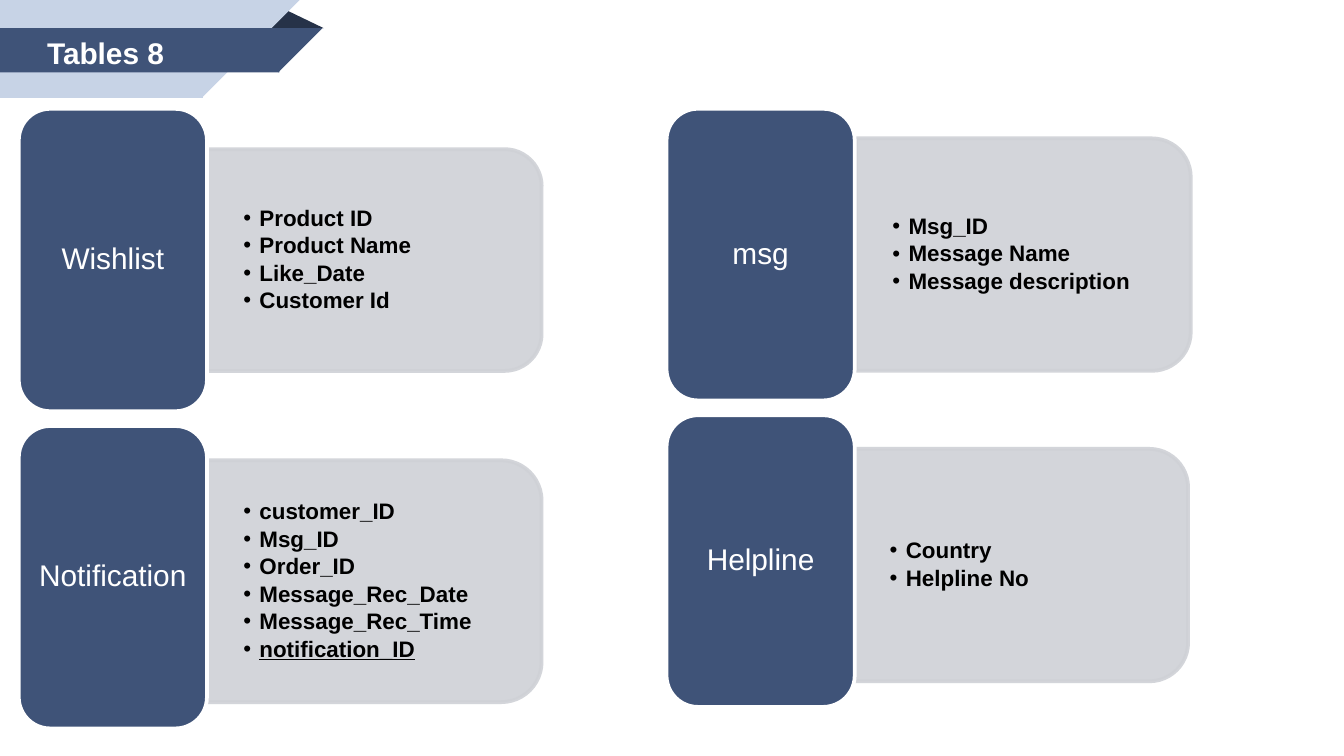
from dataclasses import dataclass

from lxml import etree
from pptx import Presentation
from pptx.dml.color import RGBColor
from pptx.enum.shapes import MSO_SHAPE
from pptx.enum.text import MSO_ANCHOR, MSO_AUTO_SIZE, PP_ALIGN
from pptx.oxml.ns import qn
from pptx.util import Inches, Pt

NAVY = RGBColor(0x3F, 0x53, 0x78)
DARK_NAVY = RGBColor(0x26, 0x32, 0x48)
PALE_BLUE = RGBColor(0xC7, 0xD3, 0xE6)
GREY = RGBColor(0xCF, 0xD1, 0xD6)
WHITE = RGBColor(0xFF, 0xFF, 0xFF)
BLACK = RGBColor(0, 0, 0)

RECTANGLE = MSO_SHAPE.RECTANGLE
CORNER = MSO_SHAPE.RIGHT_TRIANGLE
FOLD = MSO_SHAPE.ISOSCELES_TRIANGLE
ROUNDED = MSO_SHAPE.ROUNDED_RECTANGLE
ROUNDED_END = MSO_SHAPE.ROUND_2_SAME_RECTANGLE
MIDDLE, TOP = MSO_ANCHOR.MIDDLE, MSO_ANCHOR.TOP
CENTER, LEFT = PP_ALIGN.CENTER, PP_ALIGN.LEFT
GROW, FIXED = MSO_AUTO_SIZE.SHAPE_TO_FIT_TEXT, MSO_AUTO_SIZE.NONE

SLIDE_WIDTH = Inches(10)
SLIDE_HEIGHT = SLIDE_WIDTH * 9 // 16
LABEL_WIDTH = 1.4
PANEL_WIDTH = 2.49


@dataclass
class EntityCard:
    name: str
    left: float
    top: float
    height: float
    panel_left: float
    panel_height: float
    panel_shift: float
    fields: list
    underlined: str = ""


CARDS = [
    EntityCard("Wishlist", 0.14, 0.81, 2.25, 1.54, 1.65, 0,
               ["Product ID", "Product Name", "Like_Date", "Customer Id"]),
    EntityCard("Notification", 0.14, 3.17, 2.25, 1.54, 1.8, 0.03,
               ["customer_ID", "Msg_ID", "Order_ID", "Message_Rec_Date",
                "Message_Rec_Time", "notification_ID"], "notification_ID"),
    EntityCard("msg", 4.96, 0.81, 2.17, 6.37, 1.73, 0,
               ["Msg_ID", "Message Name", "Message description"]),
    EntityCard("Helpline", 4.96, 3.09, 2.17, 6.35, 1.73, 0.03,
               ["Country", "Helpline No"]),
]


def apply_format(target, values):
    for name, value in values.items():
        setattr(target, name, value)


def add_node(parent, tag, **attributes):
    return etree.SubElement(parent, qn(tag), attributes)


class SlideBuilder:
    font_name = "Arial"
    label_format = {"size": Pt(16)}
    title_format = {"size": Pt(16), "bold": True}
    field_format = {"size": Pt(12), "bold": True}

    def __init__(self, slide):
        self.slide = slide

    def shape(self, kind, left, top, width, height, fill, outline=None, turn=0):
        shape = self.slide.shapes.add_shape(
            kind, Inches(left), Inches(top), Inches(width), Inches(height))
        shape.rotation = turn
        shape.shadow.inherit = False
        shape.fill.solid()
        shape.fill.fore_color.rgb = fill
        if outline is None:
            shape.line.fill.background()
        else:
            shape.line.color.rgb = outline
            shape.line.width = Pt(2)
        return shape

    def frame(self, shape, side, end, anchor, auto_size=FIXED):
        frame = shape.text_frame
        apply_format(frame, {
            "margin_left": Inches(side), "margin_right": Inches(side),
            "margin_top": Inches(end), "margin_bottom": Inches(end),
            "vertical_anchor": anchor, "word_wrap": True, "auto_size": auto_size})
        return frame

    def run(self, paragraph, text, color, font_format):
        run = paragraph.add_run()
        run.text = text
        apply_format(run.font, {"name": self.font_name, **font_format})
        run.font.color.rgb = color

    def spacing(self, paragraph, after_percent):
        """Set tight lines and a gap after, as a share of the text size."""
        paragraph.line_spacing = 0.9
        after = add_node(paragraph._p.get_or_add_pPr(), "a:spcAft")
        add_node(after, "a:spcPct", val=str(after_percent * 1000))

    def title(self, text, left, top, width, height):
        title = self.slide.shapes.title
        apply_format(title, {"left": Inches(left), "top": Inches(top),
                             "width": Inches(width), "height": Inches(height)})
        paragraph = self.frame(title, 0.1, 0.05, TOP, GROW).paragraphs[0]
        paragraph.alignment = LEFT
        self.run(paragraph, text, WHITE, self.title_format)
        # Bring the title in front of the ribbon
        title.element.getparent().append(title.element)

    def band(self, top, width, height, color):
        """Draw a ribbon strip with a slanted right end."""
        overlap = 0.01
        self.shape(RECTANGLE, 0, top, width + overlap, height, color)
        self.shape(CORNER, width, top, height, height, color, turn=90)

    def ribbon(self):
        fold = self.shape(FOLD, 1.98, 0.07, 0.43, 0.14, DARK_NAVY)
        fold.adjustments[0] = 0.324
        self.band(0, 1.5, 0.73, PALE_BLUE)
        self.band(0.21, 2.07, 0.33, NAVY)

    def panel(self, card):
        middle = card.top + card.height / 2 + card.panel_shift
        center = card.panel_left + PANEL_WIDTH / 2
        panel = self.shape(
            ROUNDED_END, center - card.panel_height / 2, middle - PANEL_WIDTH / 2,
            card.panel_height, PANEL_WIDTH, GREY, GREY, turn=90)
        for color in panel._element.spPr.iter(qn("a:srgbClr")):
            add_node(color, "a:alpha", val="90000")

        text_height = card.panel_height - 0.16
        field_list = self.slide.shapes.add_textbox(
            Inches(card.panel_left), Inches(middle - text_height / 2),
            Inches(PANEL_WIDTH - 0.08), Inches(text_height))
        frame = self.frame(field_list, 0.27, 0.14, MIDDLE)
        for index, field in enumerate(card.fields):
            paragraph = frame.add_paragraph() if index else frame.paragraphs[0]
            paragraph.level = 1
            self.bullet(paragraph)
            self.run(paragraph, field, BLACK, self.field_format)
            if field == card.underlined:
                paragraph.runs[0].font.underline = True

    def bullet(self, paragraph):
        self.spacing(paragraph, 15)
        properties = paragraph._p.get_or_add_pPr()
        properties.set("marL", str(Inches(0.12)))
        properties.set("indent", str(Inches(-0.12)))
        add_node(add_node(properties, "a:buClr"), "a:srgbClr", val=str(BLACK))
        add_node(properties, "a:buFont", typeface=self.font_name)
        add_node(properties, "a:buChar", char="•")

    def label(self, card):
        label = self.shape(ROUNDED, card.left, card.top, LABEL_WIDTH, card.height,
                           NAVY, WHITE)
        paragraph = self.frame(label, 0.07, 0.03, MIDDLE).paragraphs[0]
        paragraph.alignment = CENTER
        self.spacing(paragraph, 35)
        self.run(paragraph, card.name, WHITE, self.label_format)


def main():
    deck = Presentation()
    deck.slide_width, deck.slide_height = SLIDE_WIDTH, SLIDE_HEIGHT
    builder = SlideBuilder(deck.slides.add_slide(deck.slide_layouts[5]))
    builder.ribbon()
    builder.title("Tables 8", 0.25, 0.21, 1.55, 0.37)
    for card in CARDS:
        builder.panel(card)
        builder.label(card)
    deck.save("out.pptx")


if __name__ == "__main__":
    main()
